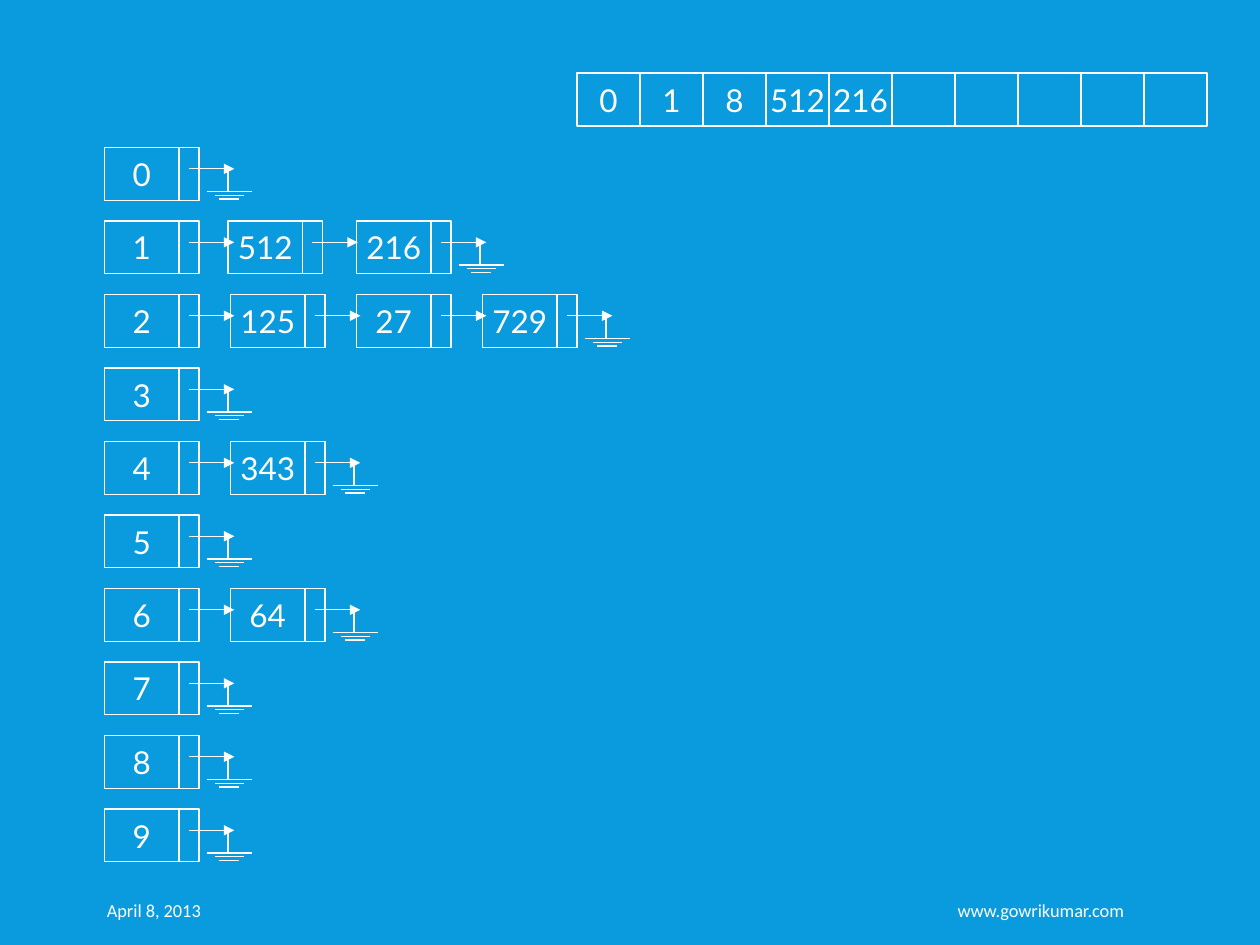
from pptx import Presentation
from pptx.dml.color import RGBColor
from pptx.enum.shapes import MSO_CONNECTOR as Link, MSO_SHAPE as Shape
from pptx.enum.text import MSO_ANCHOR as Anchor, PP_ALIGN as Align
from pptx.oxml.ns import qn
from pptx.util import Inches, Pt
from lxml.etree import SubElement

# Content
ARRAY = ["0", "1", "8", "512", "216", "", "", "", "", ""]
CHAINS = [
    ["0"],
    ["1", "512", "216"],
    ["2", "125", "27", "729"],
    ["3"],
    ["4", "343"],
    ["5"],
    ["6", "64"],
    ["7"],
    ["8"],
    ["9"],
]
# text, left, width, alignment, right inset
FOOTER = [
    ("April 8, 2013", 0.75, 2.84, Align.LEFT, 0.05),
    ("www.gowrikumar.com", 4.58, 4.44, Align.RIGHT, 0.1),
]
COLORS = {"back": "099BDD", "ink": "FFFFFF"}

# Layout in inches
LEFT, TOP = 0.83, 1.17
STEP_X, STEP_Y = 1, 7 / 12
KEY_W, NEXT_W, HIGH = 0.59, 0.16, 0.42
CELL_X, CELL_Y, CELL_W = 4.58, 0.58, 0.5
NUDGE = {"512": -0.02}  # this node sits slightly left of its column
# Ground sign: start x, end x and y, from the node's corner
GROUND = [(0.81, 1.17, 0.35), (0.91, 1.07, 0.41), (0.88, 1.11, 0.38)]


def color(name):
    return RGBColor.from_string(COLORS[name])


def style(par, text, font, size, align):
    par.text = text
    par.alignment = align
    par.font.name = font
    par.font.size = Pt(size)
    par.font.color.rgb = color("ink")


def box(parts, x, y, w, text=""):
    rect = parts.add_shape(Shape.RECTANGLE, Inches(x), Inches(y), Inches(w), Inches(HIGH))
    rect.shadow.inherit = False
    rect.fill.background()
    rect.line.color.rgb = color("ink")
    rect.line.width = Pt(0.75)
    if text:
        frame = rect.text_frame
        frame.word_wrap = False
        frame.vertical_anchor = Anchor.MIDDLE
        style(frame.paragraphs[0], text, "Lato", 18, Align.CENTER)


def line(parts, x1, y1, x2, y2, arrow=False):
    link = parts.add_connector(Link.STRAIGHT, Inches(x1), Inches(y1), Inches(x2), Inches(y2))
    link.line.color.rgb = color("ink")
    link.line.width = Pt(0.75)
    if arrow:
        SubElement(link.line._get_or_add_ln(), qn("a:tailEnd"), type="triangle")
    SubElement(link._element.spPr, qn("a:effectLst"))


def node(parts, x, y, text, last):
    box(parts, x, y, KEY_W, text)
    box(parts, x + KEY_W, y, NEXT_W)
    line(parts, x + 0.67, y + 0.17, x + 1.03, y + 0.17, arrow=True)
    if last:
        for start, end, drop in GROUND:
            line(parts, x + start, y + drop, x + end, y + drop)
        line(parts, x + 0.98, y + 0.35, x + 0.98, y + 0.17)


prs = Presentation()
prs.slide_width, prs.slide_height = Inches(10), Inches(7.5)
slide = prs.slides.add_slide(prs.slide_layouts[6])
slide.background.fill.solid()
slide.background.fill.fore_color.rgb = color("back")

# Footer
for text, x, w, align, inset in FOOTER:
    frame = slide.shapes.add_textbox(Inches(x), Inches(7.02), Inches(w), Inches(0.4)).text_frame
    frame.word_wrap = True
    frame.vertical_anchor = Anchor.MIDDLE
    frame.margin_right = Inches(inset)
    style(frame.paragraphs[0], text, "Calibri", 10.5, align)

# Linked lists, one group per node
for row, chain in enumerate(CHAINS):
    for col, text in enumerate(chain):
        x = LEFT + col * STEP_X + NUDGE.get(text, 0)
        group = slide.shapes.add_group_shape()
        node(group.shapes, x, TOP + row * STEP_Y, text, col == len(chain) - 1)

# Array
for i, text in enumerate(ARRAY):
    box(slide.shapes, CELL_X + i * CELL_W, CELL_Y, CELL_W, text)

prs.save("out.pptx")
